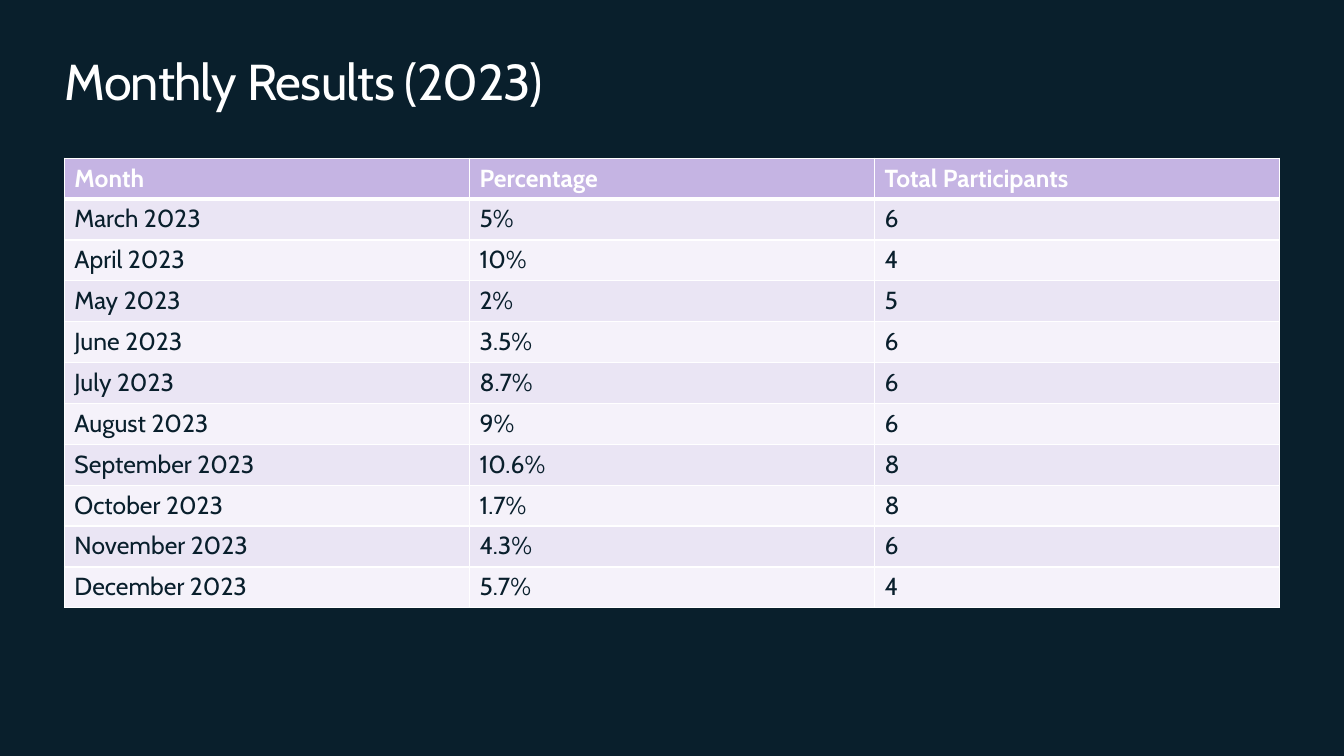
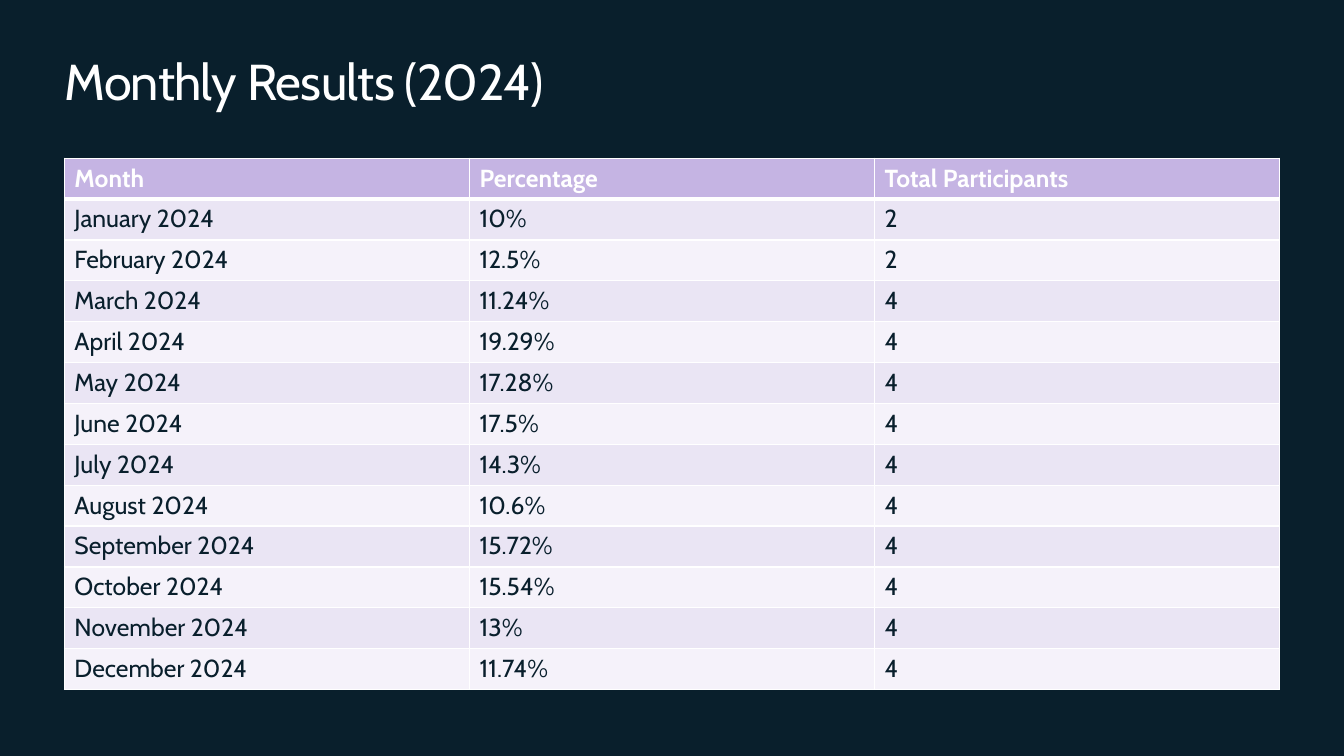
from dataclasses import dataclass

from lxml import etree
from pptx import Presentation
from pptx.dml.color import RGBColor
from pptx.enum.text import MSO_ANCHOR
from pptx.oxml.ns import qn
from pptx.util import Pt

TOP = MSO_ANCHOR.TOP
BLANK_LAYOUT = 6


@dataclass(frozen=True)
class Theme:
    font: str = "Cabin"
    navy: str = "091F2C"
    white: str = "FFFFFF"
    header: str = "C5B4E3"
    bands: tuple = ("EAE5F4", "F5F2FA")
    title_size: float = 36
    table_size: float = 17.6
    thin: float = 1
    thick: float = 3


theme = Theme()

# Layout in points
SLIDE_WIDTH, SLIDE_HEIGHT = 960, 540
MARGIN = 46
CONTENT_WIDTH = SLIDE_WIDTH - 2 * MARGIN
TITLE_TOP, TITLE_HEIGHT = 36, 44
TABLE_TOP, ROW_HEIGHT = 113, 29.2

# Results by year: month, percentage, participants
HEADINGS = ("Month", "Percentage", "Total Participants")
RESULTS = {
    2023: [
        ("March", "5%", 6),
        ("April", "10%", 4),
        ("May", "2%", 5),
        ("June", "3.5%", 6),
        ("July", "8.7%", 6),
        ("August", "9%", 6),
        ("September", "10.6%", 8),
        ("October", "1.7%", 8),
        ("November", "4.3%", 6),
        ("December", "5.7%", 4),
    ],
    2024: [
        ("January", "10%", 2),
        ("February", "12.5%", 2),
        ("March", "11.24%", 4),
        ("April", "19.29%", 4),
        ("May", "17.28%", 4),
        ("June", "17.5%", 4),
        ("July", "14.3%", 4),
        ("August", "10.6%", 4),
        ("September", "15.72%", 4),
        ("October", "15.54%", 4),
        ("November", "13%", 4),
        ("December", "11.74%", 4),
    ],
}


def style_paragraph(paragraph, size, color, bold=False):
    font = paragraph.font
    font.name = theme.font
    font.size = Pt(size)
    font.bold = bold
    font.color.rgb = RGBColor.from_string(color)


def add_borders(cell, top, bottom):
    properties = cell._tc.get_or_add_tcPr()
    widths = {"a:lnL": theme.thin, "a:lnR": theme.thin, "a:lnT": top, "a:lnB": bottom}
    for tag, width in widths.items():
        line = etree.SubElement(properties, qn(tag), w=str(Pt(width)))
        fill = etree.SubElement(line, qn("a:solidFill"))
        etree.SubElement(fill, qn("a:srgbClr"), val=theme.white)


presentation = Presentation()
presentation.slide_width = Pt(SLIDE_WIDTH)
presentation.slide_height = Pt(SLIDE_HEIGHT)

# Shared background
background = presentation.slide_master.background.fill
background.solid()
background.fore_color.rgb = RGBColor.from_string(theme.navy)

for year, results in RESULTS.items():
    slide = presentation.slides.add_slide(presentation.slide_layouts[BLANK_LAYOUT])

    # Title
    title = slide.shapes.add_textbox(
        Pt(MARGIN), Pt(TITLE_TOP), Pt(CONTENT_WIDTH), Pt(TITLE_HEIGHT)
    )
    frame = title.text_frame
    frame.word_wrap = True
    frame.vertical_anchor = TOP
    frame.margin_left = frame.margin_right = frame.margin_top = frame.margin_bottom = 0
    paragraph = frame.paragraphs[0]
    run = paragraph.add_run()
    run.text = f"Monthly Results ({year})"
    run._r.get_or_add_rPr().set("spc", "-50")
    style_paragraph(paragraph, theme.title_size, theme.white)

    # Table
    rows = [HEADINGS]
    rows += [(f"{month} {year}", percentage, str(count)) for month, percentage, count in results]
    table = slide.shapes.add_table(
        len(rows), len(HEADINGS), Pt(MARGIN), Pt(TABLE_TOP),
        Pt(CONTENT_WIDTH), Pt(ROW_HEIGHT * len(rows)),
    ).table
    for row_index, values in enumerate(rows):
        table.rows[row_index].height = Pt(ROW_HEIGHT)
        is_header = row_index == 0
        fill_color = theme.header if is_header else theme.bands[(row_index - 1) % 2]
        text_color = theme.white if is_header else theme.navy
        top = theme.thick if row_index == 1 else theme.thin
        bottom = theme.thick if is_header else theme.thin
        for column_index, value in enumerate(values):
            cell = table.cell(row_index, column_index)
            cell.text = value
            style_paragraph(cell.text_frame.paragraphs[0], theme.table_size, text_color, is_header)
            add_borders(cell, top, bottom)
            cell.fill.solid()
            cell.fill.fore_color.rgb = RGBColor.from_string(fill_color)

presentation.save("out.pptx")
